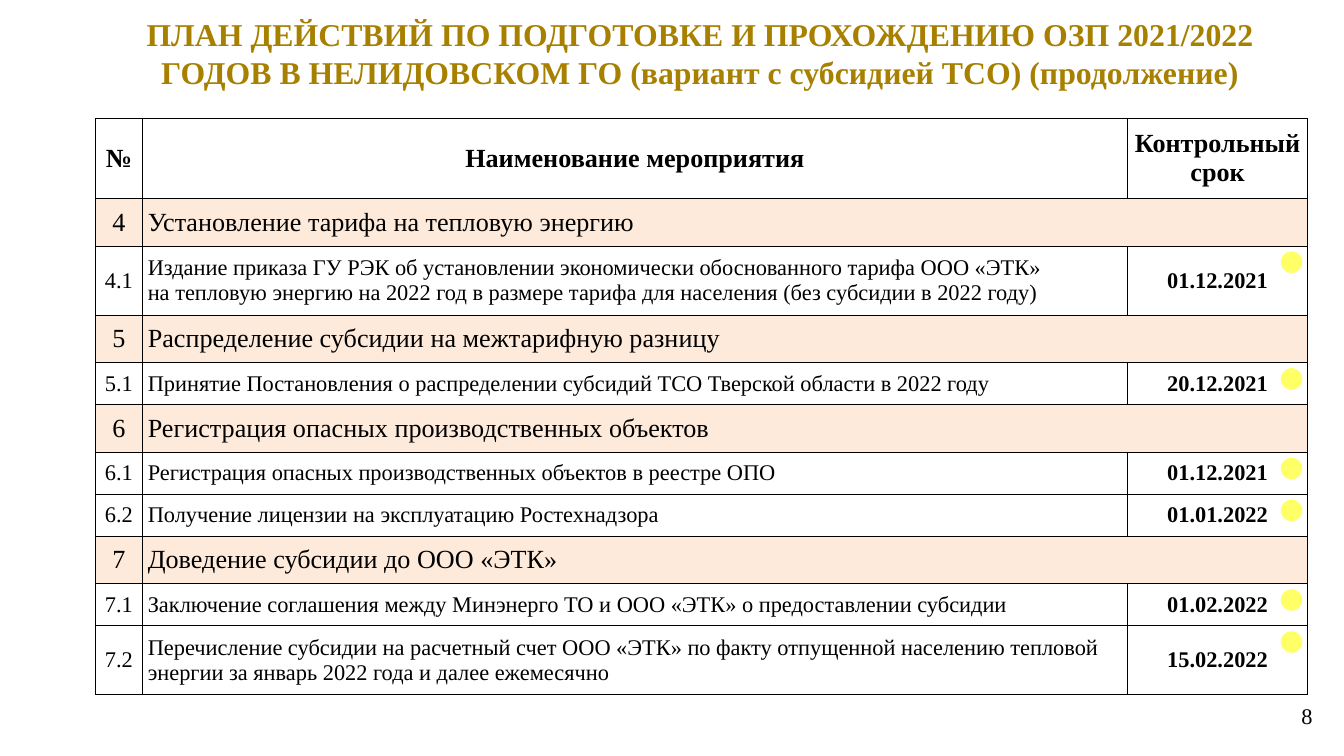
import lxml.etree
import pptx
import pptx.dml.color
import pptx.enum.shapes
import pptx.enum.text
import pptx.oxml.ns
import pptx.util

Inches = pptx.util.Inches
CENTER = pptx.enum.text.PP_ALIGN.CENTER
LEFT = pptx.enum.text.PP_ALIGN.LEFT
MIDDLE = pptx.enum.text.MSO_ANCHOR.MIDDLE
TOP = pptx.enum.text.MSO_ANCHOR.TOP

FONT = "Times New Roman"
COLORS = {
    "text": "000000",
    "title": "A88000",
    "section": "FDEADA",
    "plain": "FFFFFF",
    "marker": "FFFF66",
}
TITLE = ("ПЛАН ДЕЙСТВИЙ ПО ПОДГОТОВКЕ И ПРОХОЖДЕНИЮ ОЗП 2021/2022 ГОДОВ "
         "В НЕЛИДОВСКОМ ГО (вариант с субсидией ТСО) (продолжение)")
HEADINGS = ("№", "Наименование мероприятия", "Контрольный срок")

# Number, paragraphs of the name, deadline (sections have none), height in points
SECTION, ONE_LINE, TWO_LINES, HEADER = 25.5, 22.5, 37, 43
PLAN = [
    ("4", ["Установление тарифа на тепловую энергию"], None, SECTION),
    ("4.1", ["Издание приказа ГУ РЭК об установлении экономически обоснованного тарифа ООО «ЭТК»",
             "на тепловую энергию на 2022 год в размере тарифа для населения (без субсидии в 2022 году)"],
     "01.12.2021", TWO_LINES),
    ("5", ["Распределение субсидии на межтарифную разницу"], None, SECTION),
    ("5.1", ["Принятие Постановления о распределении субсидий ТСО Тверской области в 2022 году"],
     "20.12.2021", ONE_LINE),
    ("6", ["Регистрация опасных производственных объектов"], None, SECTION),
    ("6.1", ["Регистрация опасных производственных объектов в реестре ОПО"],
     "01.12.2021", ONE_LINE),
    ("6.2", ["Получение лицензии на эксплуатацию Ростехнадзора"], "01.01.2022", ONE_LINE),
    ("7", ["Доведение субсидии до ООО «ЭТК»"], None, SECTION),
    ("7.1", ["Заключение соглашения между Минэнерго ТО и ООО «ЭТК» о предоставлении субсидии"],
     "01.02.2022", ONE_LINE),
    ("7.2", ["Перечисление субсидии на расчетный счет ООО «ЭТК» по факту отпущенной населению "
             "тепловой энергии за январь 2022 года и далее ежемесячно"],
     "15.02.2022", TWO_LINES),
]
COLUMN_WIDTHS = (0.35, 7.33, 1.34)
TABLE_LEFT, TABLE_TOP = 0.71, 0.88


def rgb(name):
    return pptx.dml.color.RGBColor.from_string(COLORS[name])


def write(frame, paragraphs, size, bold=False, align=CENTER, color="text"):
    for index, text in enumerate(paragraphs):
        paragraph = frame.add_paragraph() if index else frame.paragraphs[0]
        paragraph.alignment = align
        run = paragraph.add_run()
        run.text = text
        run.font.name = FONT
        run.font.size = pptx.util.Pt(size)
        run.font.bold = bold
        run.font.color.rgb = rgb(color)


def set_margins(holder, horizontal, vertical):
    holder.margin_left = holder.margin_right = Inches(horizontal)
    holder.margin_top = holder.margin_bottom = Inches(vertical)


def add_borders(cell):
    properties = cell._tc.get_or_add_tcPr()
    qn = pptx.oxml.ns.qn
    for side in ("a:lnL", "a:lnR", "a:lnT", "a:lnB"):
        line = lxml.etree.SubElement(properties, qn(side), w=str(pptx.util.Pt(0.25)))
        fill = lxml.etree.SubElement(line, qn("a:solidFill"))
        lxml.etree.SubElement(fill, qn("a:srgbClr"), val=COLORS["text"])


def style_cell(cell, fill, vertical_margin):
    set_margins(cell, 0.04, vertical_margin)
    cell.vertical_anchor = MIDDLE
    add_borders(cell)
    if fill:
        cell.fill.solid()
        cell.fill.fore_color.rgb = rgb(fill)
    else:
        cell.fill.background()


def add_text(slide, box, text, size, margins, anchor, **style):
    frame = slide.shapes.add_textbox(*map(Inches, box)).text_frame
    frame.word_wrap = True
    frame.vertical_anchor = anchor
    set_margins(frame, *margins)
    write(frame, [text], size, **style)


def add_plan_table(slide):
    heights = [HEADER] + [entry[3] for entry in PLAN]
    table = slide.shapes.add_table(
        len(heights), len(COLUMN_WIDTHS), Inches(TABLE_LEFT), Inches(TABLE_TOP),
        Inches(sum(COLUMN_WIDTHS)), Inches(sum(heights) / 72)).table
    table.first_row = table.horz_banding = False
    for column, width in zip(table.columns, COLUMN_WIDTHS):
        column.width = Inches(width)
    for row, height in zip(table.rows, heights):
        row.height = Inches(height / 72)

    for cell, heading in zip(table.rows[0].cells, HEADINGS):
        style_cell(cell, None, 0.05)
        write(cell.text_frame, [heading], 14, bold=True)

    for index, (number, name, deadline, _) in enumerate(PLAN, start=1):
        number_cell, name_cell, deadline_cell = table.rows[index].cells
        for cell in (number_cell, name_cell, deadline_cell):
            style_cell(cell, "plain" if deadline else "section", 0.04)
        size = 12 if deadline else 14
        write(number_cell.text_frame, [number], size)
        write(name_cell.text_frame, name, size, align=LEFT)
        if deadline:
            write(deadline_cell.text_frame, [deadline], size, bold=True)
        else:
            name_cell.merge(deadline_cell)


def add_status_marker(slide, row_top):
    marker = slide.shapes.add_shape(
        pptx.enum.shapes.MSO_SHAPE.FLOWCHART_CONNECTOR,
        Inches(9.53), Inches(row_top + 0.04), Inches(0.16), Inches(0.16))
    marker.shadow.inherit = False
    marker.fill.solid()
    marker.fill.fore_color.rgb = rgb("marker")
    marker.line.fill.background()


def add_status_markers(slide):
    """Mark every row that has a deadline."""
    row_top = TABLE_TOP + HEADER / 72
    for _, _, deadline, height in PLAN:
        if deadline:
            add_status_marker(slide, row_top)
        row_top += height / 72


def main():
    deck = pptx.Presentation()
    deck.slide_width, deck.slide_height = Inches(10), Inches(10 * 9 / 16)
    slide = deck.slides.add_slide(deck.slide_layouts[6])
    add_plan_table(slide)
    add_text(slide, (9.57, 5.17, 0.31, 0.31), "8", 12, (0.05, 0.03), MIDDLE)
    add_text(slide, (0.7, 0.06, 9.02, 0.67), TITLE, 17, (0.1, 0.05), TOP,
             bold=True, color="title")
    add_status_markers(slide)
    deck.save("out.pptx")


if __name__ == "__main__":
    main()
